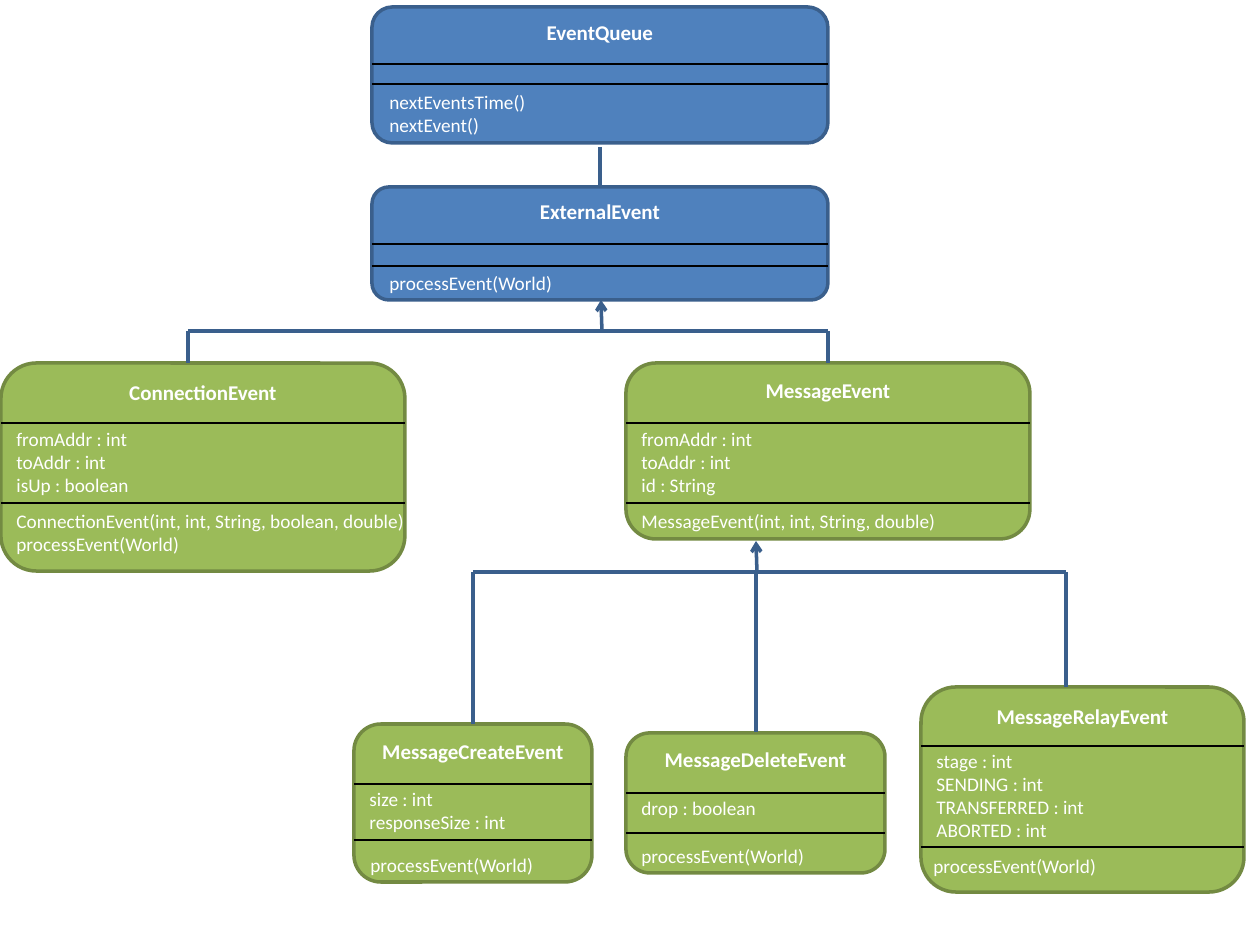
import pptx
import pptx.util
import pptx.dml.color
import pptx.enum.shapes
import pptx.enum.text
import pptx.oxml.ns
import lxml.etree

EMU_PER_PIXEL = 914400 / 126
BLUE, BLUE_LINE = "4F81BD", "3A5F8C"
GREEN, GREEN_LINE = "9BBB59", "738A42"
WHITE, BLACK = "FFFFFF", "000000"


def emu(pixels):
    """Turn pixels into EMU."""
    return pptx.util.Emu(round(pixels * EMU_PER_PIXEL))


def color(value):
    """Turn a hex string into a colour."""
    return pptx.dml.color.RGBColor.from_string(value)


class ClassDiagram:
    """Draw class boxes and connections in one style on a slide."""

    font = "Calibri"
    title_size = 12
    member_size = 11

    def __init__(self, slide):
        """Keep the current slide."""
        self.slide = slide

    def set_text(self, frame, lines, size, bold=False, alignment=None):
        """Fill a text frame and format its runs."""
        frame.text = "\n".join(lines)
        for paragraph in frame.paragraphs:
            paragraph.alignment = alignment
            for run in paragraph.runs:
                run.font.name = self.font
                run.font.size = pptx.util.Pt(size)
                run.font.bold = bold
                run.font.color.rgb = color(WHITE)

    def line(self, start, end, line_color=BLUE_LINE, weight=2, arrow=False):
        """Draw a straight line, with an arrowhead if asked."""
        connector = self.slide.shapes.add_connector(
            pptx.enum.shapes.MSO_CONNECTOR.STRAIGHT,
            emu(start[0]), emu(start[1]), emu(end[0]), emu(end[1]))
        connector.line.color.rgb = color(line_color)
        connector.line.width = pptx.util.Pt(weight)
        qn = pptx.oxml.ns.qn
        properties = connector._element.spPr
        if arrow:
            outline = properties.find(qn("a:ln"))
            lxml.etree.SubElement(outline, qn("a:tailEnd")).set("type", "arrow")
        lxml.etree.SubElement(properties, qn("a:effectLst"))

    def members(self, left, top, width, lines):
        """Add the text of one compartment of a class box."""
        box = self.slide.shapes.add_textbox(
            emu(left), emu(top), emu(width), emu(13 + 23.2 * len(lines)))
        frame = box.text_frame
        frame.word_wrap = False
        frame.auto_size = pptx.enum.text.MSO_AUTO_SIZE.SHAPE_TO_FIT_TEXT
        self.set_text(frame, lines, self.member_size)

    def class_box(self, name, bounds, fill, outline, dividers, compartments, rounding=0.1667):
        """Draw a class with its title, dividers and compartments."""
        left, top, width, height = bounds
        shape = self.slide.shapes.add_shape(
            pptx.enum.shapes.MSO_SHAPE.ROUNDED_RECTANGLE,
            emu(left), emu(top), emu(width), emu(height))
        shape.shadow.inherit = False
        shape.adjustments[0] = round(rounding, 2)
        shape.fill.solid()
        shape.fill.fore_color.rgb = color(fill)
        shape.line.color.rgb = color(outline)
        shape.line.width = pptx.util.Pt(2)
        shape.text_frame.vertical_anchor = pptx.enum.text.MSO_ANCHOR.TOP
        self.set_text(shape.text_frame, [name], self.title_size, True,
                      pptx.enum.text.PP_ALIGN.CENTER)
        for y in dividers:
            self.line((left, y), (left + width, y), BLACK, 0.75)
        for offset, text_top, text_width, lines in compartments:
            self.members(left + offset, text_top, text_width, lines)


presentation = pptx.Presentation()
presentation.slide_width = emu(1260)
presentation.slide_height = emu(945)
diagram = ClassDiagram(presentation.slides.add_slide(presentation.slide_layouts[6]))

PROCESS = "processEvent(World)"
ADDRESSES = ["fromAddr : int", "toAddr : int"]

base_classes = [
    ("EventQueue", (372, 7, 456, 136), (64, 84),
     [(5, 84, 164, ["nextEventsTime()", "nextEvent()"])]),
    ("ExternalEvent", (372, 187, 456, 113), (244, 266),
     [(5, 265, 190, [PROCESS])]),
]
event_classes = [
    ("ConnectionEvent", (1, 363, 404, 208), (423, 503),
     [(3, 421, 139, ADDRESSES + ["isUp : boolean"]),
      (3, 503, 416, ["ConnectionEvent(int, int, String, boolean, double)", PROCESS])]),
    ("MessageEvent", (626, 363, 404, 176), (423, 503),
     [(3, 421, 139, ADDRESSES + ["id : String"]),
      (3, 503, 321, ["MessageEvent(int, int, String, double)"])]),
    ("MessageCreateEvent", (354, 724, 238, 158), (784, 840),
     [(3, 781, 163, ["size : int", "responseSize : int"]),
      (4, 847, 190, [PROCESS])]),
    ("MessageDeleteEvent", (626, 733, 259, 140), (793, 833),
     [(3, 790, 141, ["drop : boolean"]),
      (3, 838, 190, [PROCESS])]),
    ("MessageRelayEvent", (921, 687, 323, 205), (746, 847),
     [(3, 743, 175, ["stage : int", "SENDING : int", "TRANSFERRED : int", "ABORTED : int"]),
      (0, 848, 190, [PROCESS])]),
]
for name, bounds, dividers, compartments in base_classes:
    diagram.class_box(name, bounds, BLUE, BLUE_LINE, dividers, compartments, 0.15)
for name, bounds, dividers, compartments in event_classes:
    diagram.class_box(name, bounds, GREEN, GREEN_LINE, dividers, compartments)

diagram.line((600, 147), (600, 187))
inheritance = [
    (331, [(188, 363), (828, 363)], (602, 601), 300),
    (572, [(473, 724), (756, 732), (1066, 687)], (757, 756), 541),
]
for bar, children, arrow, parent_bottom in inheritance:
    for x, child_top in children:
        diagram.line((x, child_top), (x, bar))
    diagram.line((children[0][0], bar), (children[-1][0], bar))
    diagram.line((arrow[0], bar), (arrow[1], parent_bottom), arrow=True)

presentation.save("out.pptx")
